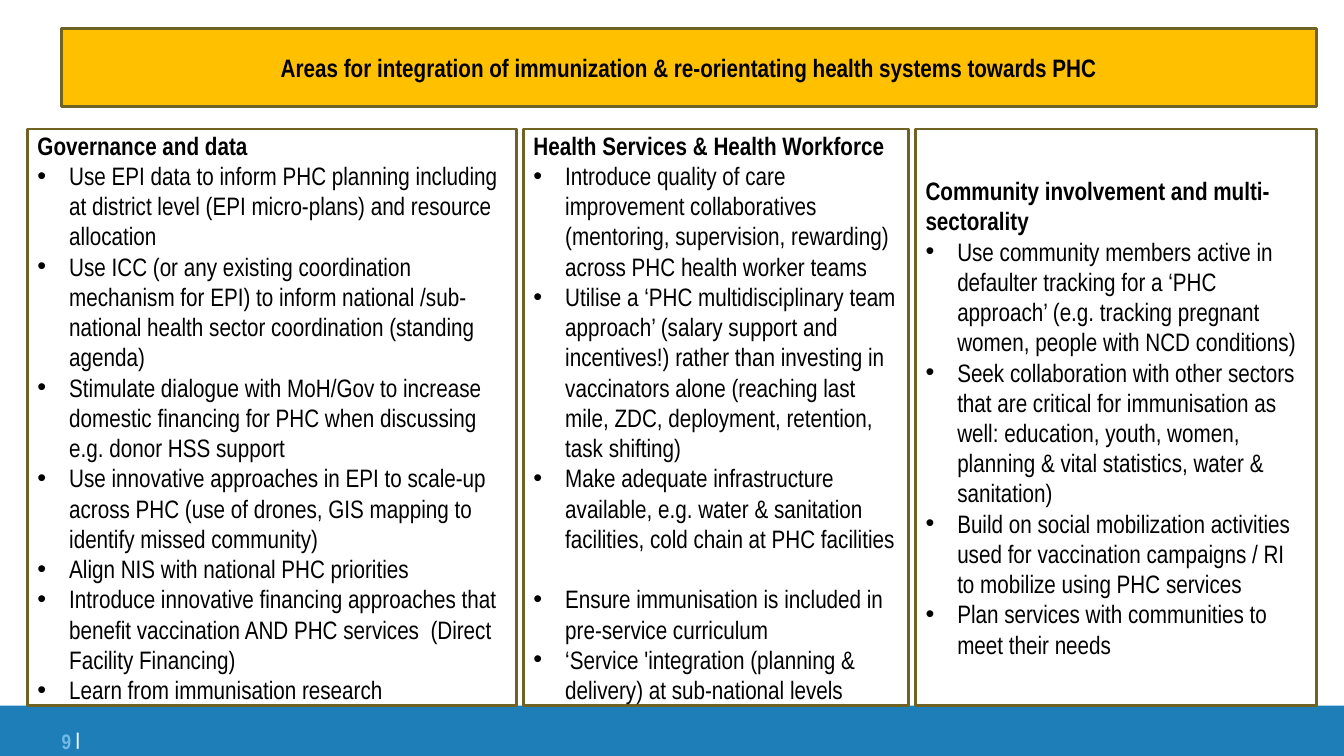
"""Build the slide on integrating immunization with primary health care."""
from lxml import etree
from pptx import Presentation
from pptx.dml.color import RGBColor
from pptx.enum import shapes, text
from pptx.oxml import ns
from pptx.util import Cm, Pt

FONT = "Arial Narrow"
BLACK, WHITE, GOLD, OLIVE = "000000", "FFFFFF", "FFC000", "6E6224"
BLUE, PALE_BLUE = "1E7FB8", "72BBE8"

HEADLINE = "Areas for integration of immunization & re-orientating health systems towards PHC"
AREAS = [
    {"width": 12.32, "heading": "Governance and data", "actions": [
        "Use EPI data to inform PHC planning including at district level (EPI micro-plans) and resource allocation",
        "Use ICC (or any existing coordination mechanism for EPI) to inform national /sub-national health sector coordination (standing agenda)",
        "Stimulate dialogue with MoH/Gov to increase domestic financing for PHC when discussing e.g. donor HSS support",
        "Use innovative approaches in EPI to scale-up across PHC (use of drones, GIS mapping to identify missed community)",
        "Align NIS with national PHC priorities",
        "Introduce innovative financing approaches that benefit vaccination AND PHC services  (Direct Facility Financing)",
        "Learn from immunisation research"]},
    {"width": 9.7, "heading": "Health Services & Health Workforce", "gap_after": 2, "actions": [
        "Introduce quality of care improvement collaboratives (mentoring, supervision, rewarding) across PHC health worker teams",
        "Utilise a ‘PHC multidisciplinary team approach’ (salary support and incentives!) rather than investing in vaccinators alone (reaching last mile, ZDC, deployment, retention, task shifting)",
        "Make adequate infrastructure available, e.g. water & sanitation facilities, cold chain at PHC facilities",
        "Ensure immunisation is included in pre-service curriculum",
        "‘Service 'integration (planning & delivery) at sub-national levels"]},
    {"width": 10.11, "heading": "Community involvement and multi-sectorality", "actions": [
        "Use community members active in defaulter tracking for a ‘PHC approach’ (e.g. tracking pregnant women, people with NCD conditions)",
        "Seek collaboration with other sectors that are critical for immunisation as well: education, youth, women, planning & vital statistics, water & sanitation)",
        "Build on social mobilization activities used for vaccination campaigns / RI to mobilize using PHC services",
        "Plan services with communities to meet their needs"]},
]
PAGE_MARK = [("9 ", 15, PALE_BLUE), ("|", 21, WHITE)]

SLIDE_WIDTH, SLIDE_HEIGHT = 33.87, 19.05
BAND_TOP, AREA_TOP, AREA_LEFT, AREA_GAP = 17.78, 3.25, 0.69, 0.18
HANGING = Cm(0.8)


def color(hex_code):
    return RGBColor.from_string(hex_code)


def place(shape, left, top, width, height):
    shape.left, shape.top = Cm(left), Cm(top)
    shape.width, shape.height = Cm(width), Cm(height)


def frame(shape, fill):
    shape.fill.solid()
    shape.fill.fore_color.rgb = color(fill)
    shape.line.color.rgb = color(OLIVE)
    shape.line.width = Pt(2)
    shape.text_frame.word_wrap = True
    shape.text_frame.auto_size = text.MSO_AUTO_SIZE.NONE
    shape.text_frame.vertical_anchor = text.MSO_ANCHOR.MIDDLE


def style(run, size, hex_code, bold):
    run.font.name, run.font.size, run.font.bold = FONT, Pt(size), bold
    run.font.color.rgb = color(hex_code)


def set_bullet(paragraph, bulleted):
    properties = paragraph._p.get_or_add_pPr()
    properties.set("marL", str(HANGING if bulleted else 0))
    properties.set("indent", str(-HANGING if bulleted else 0))
    if bulleted:
        etree.SubElement(properties, ns.qn("a:buFont"), typeface="Arial")
        etree.SubElement(properties, ns.qn("a:buChar"), char="•")
    else:
        etree.SubElement(properties, ns.qn("a:buNone"))


def fill_area(panel, area):
    panel.text_frame.text = "\n".join([area["heading"], *area["actions"]])
    for number, paragraph in enumerate(panel.text_frame.paragraphs):
        set_bullet(paragraph, number > 0)
        paragraph.alignment = text.PP_ALIGN.LEFT
        paragraph.line_spacing = 1.0
        paragraph.space_before = Pt(0)
        paragraph.space_after = Pt(21.6 if number - 1 == area.get("gap_after") else 0)
        style(paragraph.runs[0], 18, BLACK, number == 0)


def main():
    deck = Presentation()
    deck.slide_width, deck.slide_height = Cm(SLIDE_WIDTH), Cm(SLIDE_HEIGHT)
    slide = deck.slides.add_slide(deck.slide_layouts.get_by_name("Comparison"))
    headline, *panels = slide.placeholders

    band = slide.shapes.add_shape(shapes.MSO_SHAPE.RECTANGLE, 0, Cm(BAND_TOP),
                                  Cm(SLIDE_WIDTH), Cm(SLIDE_HEIGHT - BAND_TOP))
    band.shadow.inherit = False
    band.fill.solid()
    band.fill.fore_color.rgb = color(BLUE)
    band.line.fill.background()
    headline._element.addprevious(band._element)

    place(headline, 1.55, 0.71, 31.62, 1.98)
    frame(headline, GOLD)
    headline.text_frame.text = HEADLINE
    headline.text_frame.paragraphs[0].alignment = text.PP_ALIGN.CENTER
    style(headline.text_frame.paragraphs[0].runs[0], 18, BLACK, True)

    left = AREA_LEFT
    for panel, area in zip(panels, AREAS):
        place(panel, left, AREA_TOP, area["width"], BAND_TOP - AREA_TOP)
        frame(panel, WHITE)
        fill_area(panel, area)
        left += area["width"] + AREA_GAP
    for unused in panels[len(AREAS):]:
        unused._element.getparent().remove(unused._element)

    page = slide.shapes.add_textbox(Cm(0.69), Cm(18.14), Cm(1.32), Cm(0.91)).text_frame
    page.margin_left = page.margin_right = page.margin_top = page.margin_bottom = 0
    page.word_wrap = True
    page_line = page.paragraphs[0]
    page_line.alignment = text.PP_ALIGN.RIGHT
    for mark, size, hex_code in PAGE_MARK:
        run = page_line.add_run()
        run.text = mark
        style(run, size, hex_code, True)
    run._r.get_or_add_rPr().set("baseline", "14000")

    deck.save("out.pptx")


if __name__ == "__main__":
    main()
